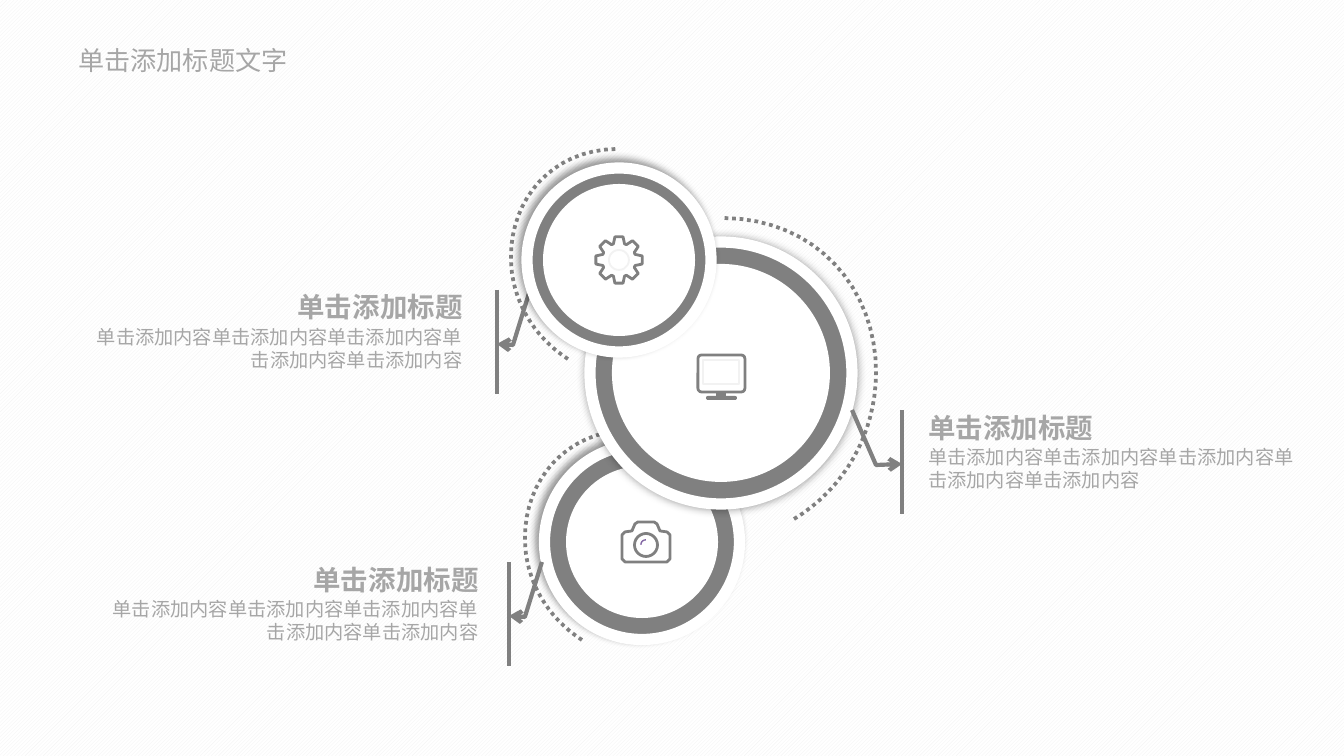
from dataclasses import dataclass
from math import cos, radians, sin

from lxml.etree import SubElement
from pptx import Presentation
from pptx.dml.color import RGBColor
from pptx.enum.dml import MSO_LINE as Dash, MSO_PATTERN as Pattern
from pptx.enum.shapes import MSO_CONNECTOR as Connector, MSO_SHAPE as Preset
from pptx.enum.text import MSO_ANCHOR as Anchor, PP_ALIGN as Align
from pptx.oxml.ns import qn
from pptx.util import Emu, Pt

EMU_PER_PX = 914400 / 134.4
GRAY, PALE, WHITE, TEXT, PURPLE = "808080", "F2F2F2", "FFFFFF", "A6A6A6", "8064A2"
HEADING = "单击添加标题"
BODY = "单击添加内容" * 5

Point = tuple[float, float]


@dataclass
class Ring:
    center: tuple[int, int]
    outer: int
    inner: int
    blur: int
    distance: int


@dataclass
class Callout:
    bar: tuple[int, int]  # top of the vertical bar
    reach: int  # from the bar to the start of the arrow
    elbow: int  # from the bar to the bend of the arrow
    text_edge: int  # from the bar to the near side of the text


def px(value: float) -> Emu:
    return Emu(round(value * EMU_PER_PX))


def color(code: str) -> RGBColor:
    return RGBColor.from_string(code)


def style(shape, fill: str = "", line: str = "", weight: float = 1.5) -> None:
    shape.shadow.inherit = False
    if fill:
        shape.fill.solid()
        shape.fill.fore_color.rgb = color(fill)
    else:
        shape.fill.background()
    if line:
        shape.line.color.rgb = color(line)
        shape.line.width = Pt(weight)
    else:
        shape.line.fill.background()


def add_preset(page, preset, left: float, top: float, width: float, height: float, **look):
    shape = page.shapes.add_shape(preset, px(left), px(top), px(width), px(height))
    style(shape, **look)
    return shape


def add_circle(page, center: Point, size: int, **look):
    x, y = center
    return add_preset(page, Preset.OVAL, x - size / 2, y - size / 2, size, size, **look)


def add_outline(page, points: list[Point], close: bool = False, line: str = GRAY, weight: float = 1.5):
    first, *rest = [(px(x), px(y)) for x, y in points]
    builder = page.shapes.build_freeform(*first, scale=1.0)
    builder.add_line_segments(rest, close=close)
    shape = builder.convert_to_shape()
    style(shape, line=line, weight=weight)
    return shape


def curve(points: list[Point], steps: int = 16) -> list[Point]:
    """Sample a chain of cubic Bezier segments."""
    result = [points[0]]
    for start in range(0, len(points) - 1, 3):
        a, b, c, d = points[start:start + 4]
        for step in range(1, steps + 1):
            t = step / steps
            weights = ((1 - t) ** 3, 3 * t * (1 - t) ** 2, 3 * t * t * (1 - t), t ** 3)
            x, y = (sum(w * p[axis] for w, p in zip(weights, (a, b, c, d))) for axis in (0, 1))
            result.append((x, y))
    return result


def add_dotted_arc(page, points: list[Point]) -> None:
    add_outline(page, curve(points), weight=2).line.dash_style = Dash.ROUND_DOT


def add_ring(page, ring: Ring) -> None:
    disc = add_circle(page, ring.center, ring.outer, fill=GRAY, line=WHITE, weight=6)
    effects = disc._element.spPr.find(qn("a:effectLst"))
    shadow = SubElement(effects, qn("a:outerShdw"), blurRad=str(Pt(ring.blur)),
                        dist=str(Pt(ring.distance)), dir=str(225 * 60000 if ring.distance else 0),
                        algn="ctr", rotWithShape="0")
    black = SubElement(shadow, qn("a:srgbClr"), val="000000")
    SubElement(black, qn("a:alpha"), val="40000")
    add_circle(page, ring.center, ring.inner, fill=WHITE)


def add_text(page, text: str, left: int, top: int, width: int, height: int, *, size: float,
             font: str = "Calibri", bold: bool = False, wrap: bool = False,
             align=Align.LEFT, inset: tuple[float, float] = (7.2, 3.6)) -> None:
    box = page.shapes.add_textbox(px(left), px(top), px(width), px(height))
    frame = box.text_frame
    frame.word_wrap = wrap
    frame.vertical_anchor = Anchor.TOP
    frame.margin_left = frame.margin_right = Pt(inset[0])
    frame.margin_top = frame.margin_bottom = Pt(inset[1])
    para = frame.paragraphs[0]
    para.alignment = align
    span = para.add_run()
    span.text = text
    span.font.name, span.font.size, span.font.bold = font, Pt(size), bold
    span.font.color.rgb = color(TEXT)


def add_pointer(page, callout: Callout) -> None:
    x, y = callout.bar
    arrow = add_outline(page, [(x + callout.reach, y), (x + callout.elbow, y + 55), (x, y + 54)],
                        weight=2.25)
    SubElement(arrow.line._get_or_add_ln(), qn("a:tailEnd"), type="arrow")
    bar = page.shapes.add_connector(Connector.STRAIGHT, px(x), px(y), px(x), px(y + 104))
    bar.line.color.rgb = color(GRAY)
    bar.line.width = Pt(2.25)
    SubElement(bar._element.spPr, qn("a:effectLst"))


def add_callout_text(page, callout: Callout) -> None:
    x, y = callout.bar
    edge = x + callout.text_edge
    on_left = callout.text_edge < 0
    align = Align.RIGHT if on_left else Align.LEFT
    for text, width, offset, height, look in (
        (HEADING, 194, -6, 47, {"size": 14.7, "bold": True}),
        (BODY, 394, 29, 60, {"size": 10.3, "wrap": True}),
    ):
        left = edge - width if on_left else edge
        add_text(page, text, left, y + offset, width, height, align=align, **look)


def add_gear(page, center: Point) -> None:
    x, y = center
    corners = ((-19, 17), (-10, 23.5), (10, 23.5), (19, 17))
    add_outline(page, [(x + radius * cos(radians(tooth + turn)), y + radius * sin(radians(tooth + turn)))
                       for tooth in range(0, 360, 45) for turn, radius in corners], close=True)
    add_circle(page, center, 20, line=PALE, weight=1)


def add_monitor(page) -> None:
    add_preset(page, Preset.RECTANGLE, 703, 360, 36, 24, line=PALE, weight=1)
    add_preset(page, Preset.ROUNDED_RECTANGLE, 698, 355, 47, 37, line=GRAY).adjustments[0] = 0.1
    add_preset(page, Preset.RECTANGLE, 716, 393, 10, 4, fill=GRAY)
    add_preset(page, Preset.ROUNDED_RECTANGLE, 706, 396, 31, 4, fill=GRAY).adjustments[0] = 0.5


def add_camera(page) -> None:
    half = [(646, 522), (654, 522), (657, 524), (660, 531), (667, 532),
            (670, 535), (670, 559), (667, 562), (646, 562)]
    mirrored = [(2 * 646 - x, y) for x, y in reversed(half[1:-1])]
    add_outline(page, half + mirrored, close=True)
    add_circle(page, (646, 545), 23, line=GRAY)
    add_outline(page, curve([(641, 545), (641, 542), (643, 540), (646, 540)]), line=PURPLE, weight=0.75)


def main() -> None:
    deck = Presentation()
    deck.slide_width, deck.slide_height = px(1344), px(756)
    page = deck.slides.add_slide(deck.slide_layouts[6])
    backdrop = page.background.fill
    backdrop.patterned()
    backdrop.pattern = Pattern.LIGHT_UPWARD_DIAGONAL
    backdrop.fore_color.rgb, backdrop.back_color.rgb = color(PALE), color(WHITE)

    # Dotted arcs
    add_dotted_arc(page, [(794, 519), (844, 489), (876, 434), (876, 372),
                          (876, 289), (817, 219), (724, 218)])
    small_arc = [(57, 210), (23, 188), (0, 151), (0, 108), (0, 50), (41, 1), (105, 0)]
    for left, top in ((525, 430), (511, 149)):
        add_dotted_arc(page, [(left + x, top + y) for x, y in small_arc])

    # Rings and pointers, the gear pointer starting under its ring
    gear = Callout((497, 290), 33, 16, -21)
    camera = Callout((509, 562), 33, 16, -17)
    monitor = Callout((902, 410), -50, -26, 13)
    add_ring(page, Ring((642, 542), 195, 152, 4, 3))
    add_ring(page, Ring((721, 373), 262, 218, 5, 0))
    add_pointer(page, gear)
    add_ring(page, Ring((619, 260), 184, 152, 4, 3))
    add_pointer(page, camera)
    add_pointer(page, monitor)

    # Icons
    add_monitor(page)
    add_camera(page)
    add_gear(page, (619, 260))

    # Text
    for callout in (gear, camera, monitor):
        add_callout_text(page, callout)
    add_text(page, "单击添加标题文字", 69, 39, 231, 42, size=14, font="Noto Sans CJK SC", inset=(5, 2.9))

    deck.save("out.pptx")


if __name__ == "__main__":
    main()
